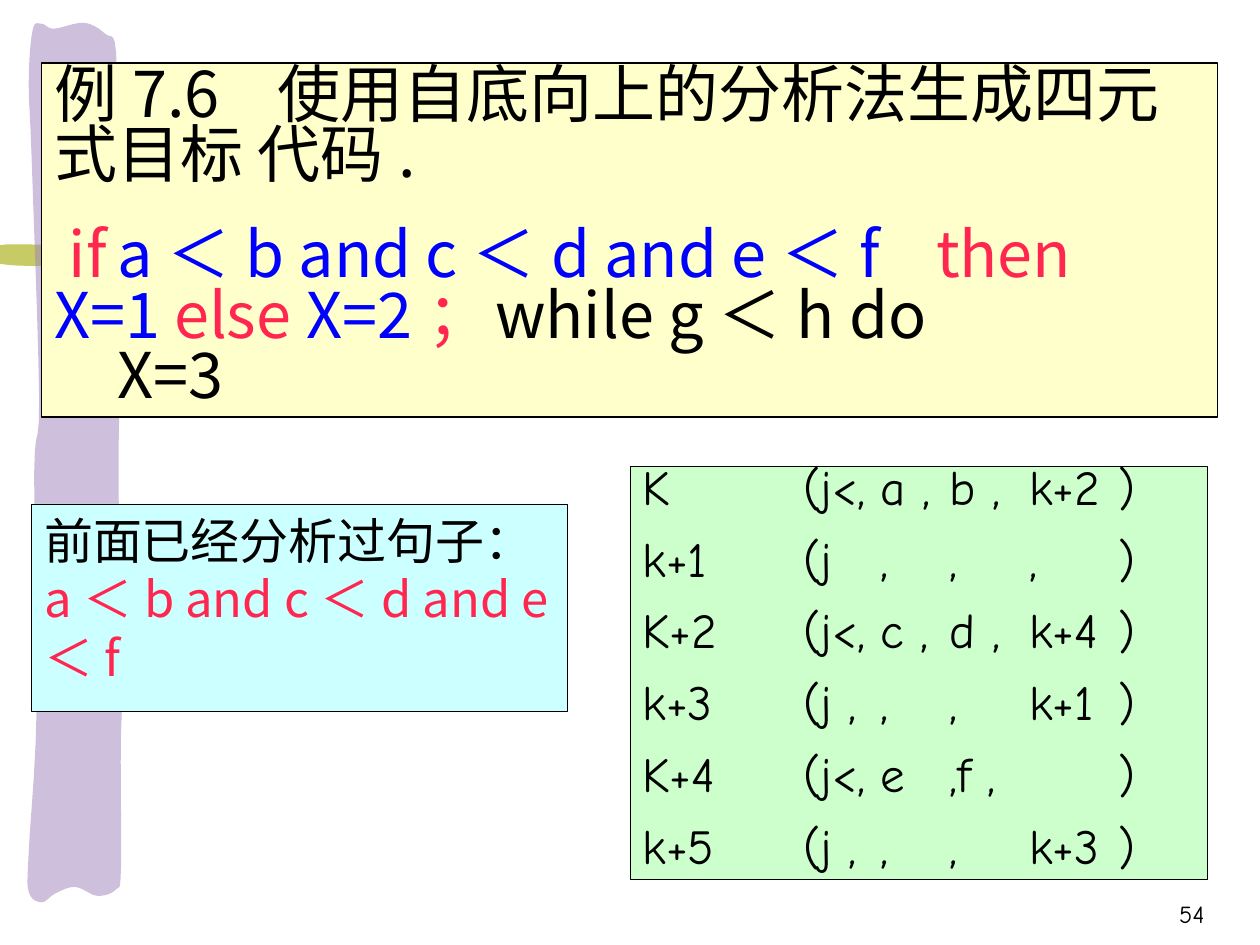
from dataclasses import dataclass, field

from lxml import etree
from pptx import Presentation
from pptx import util as u
from pptx.dml.color import RGBColor
from pptx.enum import shapes, text
from pptx.oxml import ns

SANS = "Noto Sans CJK JP"
COMIC = "Comic Neue"
BLACK, RED, BLUE = "000000", "FF2750", "0000FF"
CURVE_STEPS = 5


@dataclass
class Run:
    text: str
    color: str = BLACK
    font: str = ""


@dataclass
class Line:
    runs: list[Run]
    stops: list[float] = field(default_factory=list)
    indent: float = 0


@dataclass
class Panel:
    left: float
    top: float
    width: float
    height: float
    fill: str
    border: float
    size: float
    font: str
    spacing: float
    before: float
    lines: list[Line]


@dataclass
class Stroke:
    color: str
    opacity: int
    outline: list[tuple[float, float]]


STROKES = [
    Stroke("C6CB65", 100, [
        (-0.08, 4.95), (2.8, 4.95), (15.3, 4.95), (18.9, 5.03),
        (18.9, 5.28), (16.1, 5.33), (2.8, 5.36), (-0.05, 5.31),
    ]),
    Stroke("9F83BD", 50, [
        (0.66, 0.6), (0.84, 0.48), (1.09, 0.58), (1.7, 0.46), (2.13, 0.69),
        (2.34, 1.04), (2.36, 3.28), (2.46, 4.95), (2.39, 9.93), (2.54, 12.57),
        (2.44, 14.8), (2.44, 17.5), (2.34, 17.93), (1.96, 18.06),
        (1.52, 17.88), (1.12, 18.01), (0.84, 18.19), (0.58, 17.98),
        (0.58, 17.17), (0.74, 14.25), (0.69, 9.53), (0.79, 8.05),
        (0.64, 3.23), (0.58, 1.65),
    ]),
]

QUADRUPLES = [
    "K\t(j<,\ta ,\tb ,\tk+2\t)",
    "k+1\t(j\t,\t,\t,\t)",
    "K+2\t(j<,\tc ,\td ,\tk+4\t)",
    "k+3\t(j ,\t,\t,\tk+1\t)",
    "K+4\t(j<,\te\t,f ,\t\t)",
    "k+5\t(j ,\t,\t,\tk+3\t)",
]
QUADRUPLE_STOPS = [3.25, 4.8, 6.2, 7.8, 9.6]
CONDITION = "a＜b and c＜d and e＜f"

PANELS = [
    Panel(0.84, 1.27, 23.7, 7.14, "FFFFCC", 0.75, 36, SANS, 0.8, 22.5, [
        Line([Run("例7.6\t使用自底向上的分析法生成四元式目标 代码.")], [4.5]),
        Line([
            Run("if\t", RED), Run(CONDITION, BLUE), Run("\tthen\v", RED),
            Run("X=1", BLUE), Run(" else\t", RED), Run("X=2", BLUE),
            Run("；\t", RED), Run("while g＜h do\v\tX=3"),
        ], [1.63, 5.92, 12.75, 17.83], 0.3),
    ]),
    Panel(0.64, 10.16, 10.8, 4.17, "CCFFFF", 0.25, 28, SANS, 1, 22.5, [
        Line([Run("前面已经分析过句子：\v", font=COMIC), Run(CONDITION, RED)]),
    ]),
    Panel(12.7, 9.4, 11.63, 8.33, "CCFFCC", 0.25, 28, COMIC, 0.7, 17.5,
          [Line([Run(row)], QUADRUPLE_STOPS) for row in QUADRUPLES]),
]


def rgb(value: str) -> RGBColor:
    return RGBColor.from_string(value)


def spline(a: float, b: float, c: float, d: float, t: float) -> int:
    value = b + t * (c - a + t * (2 * a - 5 * b + 4 * c - d
                                  + t * (3 * b - a - 3 * c + d))) / 2
    return int(u.Cm(value))


def smooth_points(outline: list[tuple[float, float]]) -> list[tuple[int, int]]:
    count = len(outline)
    points = []
    for index in range(count):
        anchors = [outline[(index + offset) % count] for offset in (-1, 0, 1, 2)]
        for step in range(CURVE_STEPS):
            points.append(tuple(spline(*axis, step / CURVE_STEPS)
                                for axis in zip(*anchors)))
    return points


def draw_stroke(slide, stroke: Stroke) -> None:
    points = smooth_points(stroke.outline)
    builder = slide.shapes.build_freeform(*points[0], scale=1.0)
    builder.add_line_segments(points[1:], close=True)
    shape = builder.convert_to_shape()
    shape.shadow.inherit = False
    shape.line.fill.background()
    shape.fill.solid()
    shape.fill.fore_color.rgb = rgb(stroke.color)
    if stroke.opacity < 100:
        color = shape._element.spPr.find(".//" + ns.qn("a:srgbClr"))
        etree.SubElement(color, ns.qn("a:alpha"), val=str(stroke.opacity * 1000))


def add_tab_stops(paragraph, stops: list[float]) -> None:
    properties = paragraph._p.get_or_add_pPr()
    tabs = etree.SubElement(properties, ns.qn("a:tabLst"))
    for stop in stops:
        etree.SubElement(tabs, ns.qn("a:tab"), pos=str(u.Cm(stop)), algn="l")


def add_run(paragraph, run: Run) -> None:
    for index, part in enumerate(run.text.split("\v")):
        if index:
            paragraph.add_line_break()
        if part:
            piece = paragraph.add_run()
            piece.text = part
            piece.font.color.rgb = rgb(run.color)
            if run.font:
                piece.font.name = run.font


def draw_panel(slide, panel: Panel) -> None:
    shape = slide.shapes.add_shape(
        shapes.MSO_SHAPE.RECTANGLE,
        *map(u.Cm, (panel.left, panel.top, panel.width, panel.height)))
    shape.shadow.inherit = False
    shape.fill.solid()
    shape.fill.fore_color.rgb = rgb(panel.fill)
    shape.line.color.rgb = rgb(BLACK)
    shape.line.width = u.Pt(panel.border)
    frame = shape.text_frame
    frame.word_wrap = True
    frame.vertical_anchor = text.MSO_ANCHOR.TOP
    for index, line in enumerate(panel.lines):
        paragraph = frame.add_paragraph() if index else frame.paragraphs[0]
        paragraph.alignment = text.PP_ALIGN.LEFT
        paragraph.line_spacing = panel.spacing
        if index:
            paragraph.space_before = u.Pt(panel.before)
        if line.indent:
            paragraph._p.get_or_add_pPr().set("indent", str(u.Cm(line.indent)))
        if line.stops:
            add_tab_stops(paragraph, line.stops)
        paragraph.font.size = u.Pt(panel.size)
        paragraph.font.name = panel.font
        for run in line.runs:
            add_run(paragraph, run)


def draw_page_number(slide, number: str) -> None:
    box = slide.shapes.add_textbox(*map(u.Cm, (19.25, 17.58, 5.28, 1.27)))
    frame = box.text_frame
    frame.word_wrap = True
    frame.vertical_anchor = text.MSO_ANCHOR.BOTTOM
    paragraph = frame.paragraphs[0]
    paragraph.alignment = text.PP_ALIGN.RIGHT
    paragraph.font.size = u.Pt(14)
    paragraph.font.name = COMIC
    paragraph.font.color.rgb = rgb(BLACK)
    paragraph.add_run().text = number


def main() -> None:
    presentation = Presentation()
    presentation.slide_width, presentation.slide_height = u.Cm(25.4), u.Cm(19.05)
    slide = presentation.slides.add_slide(presentation.slide_layouts[6])
    for stroke in STROKES:
        draw_stroke(slide, stroke)
    for panel in PANELS:
        draw_panel(slide, panel)
    draw_page_number(slide, "54")
    presentation.save("out.pptx")


if __name__ == "__main__":
    main()
